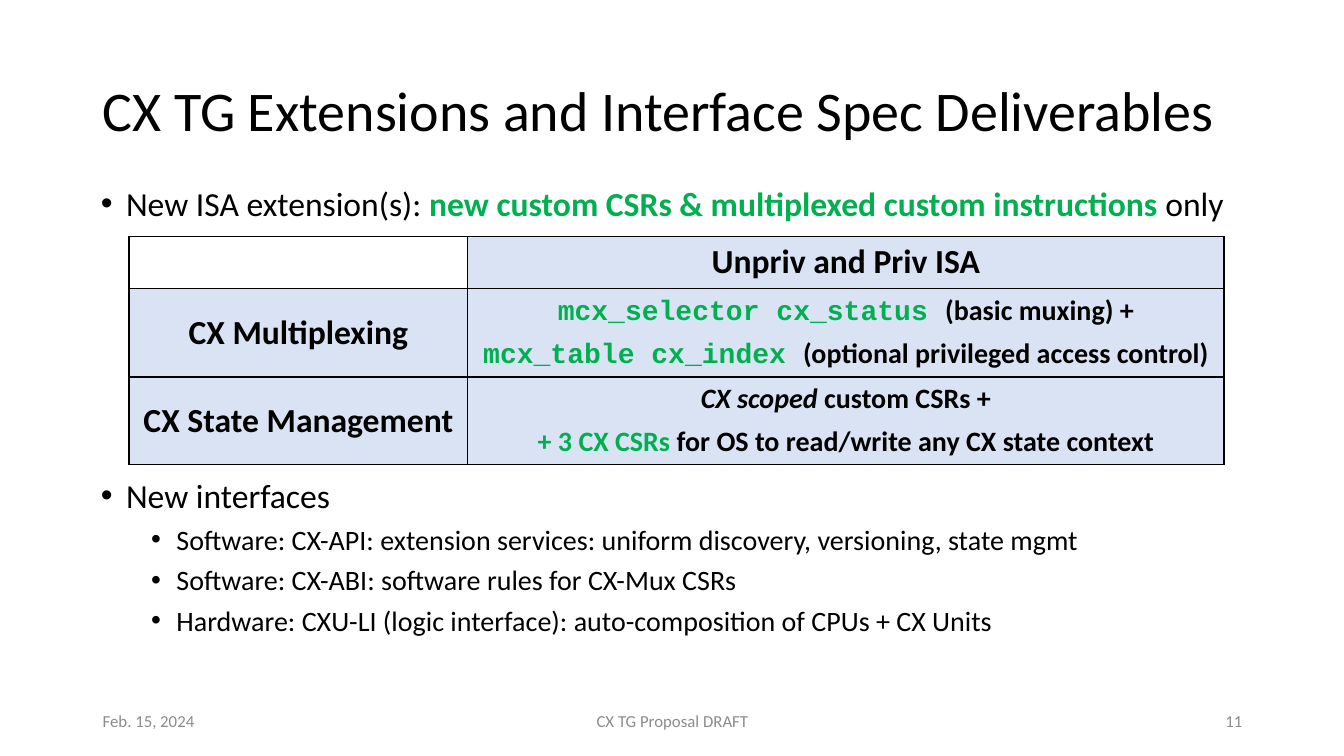
from dataclasses import dataclass
from typing import NamedTuple, Optional

from lxml.etree import SubElement
from pptx import Presentation
from pptx.dml.color import RGBColor
from pptx.enum.text import MSO_ANCHOR as Anchor, MSO_AUTO_SIZE as AutoSize, PP_ALIGN as Align
from pptx.oxml.ns import qn
from pptx.util import Pt

PX = 9144  # 100 px to the inch


@dataclass(frozen=True)
class Theme:
    black: RGBColor = RGBColor(0, 0, 0)
    green: RGBColor = RGBColor(0x00, 0xB0, 0x50)
    grey: RGBColor = RGBColor(0x8C, 0x8C, 0x8C)
    white: RGBColor = RGBColor(255, 255, 255)
    pale_blue: RGBColor = RGBColor(0xDA, 0xE3, 0xF3)
    font: str = "Calibri"
    code_font: str = "Courier New"
    title: int = 40
    large: int = 24
    small: int = 20
    footer: int = 12


T = Theme()


class Box(NamedTuple):
    x: int
    y: int
    w: int
    h: int

    def emu(self) -> list[int]:
        return [v * PX for v in self]


class Run(NamedTuple):
    text: str
    size: int = T.large
    color: RGBColor = T.black
    bold: bool = False
    italic: bool = False
    font: str = T.font


class Bullet(NamedTuple):
    runs: list[Run]
    level: int = 0
    before: int = 0


class Footer(NamedTuple):
    text: str
    box: Box
    align: Align


def strong(text: str, size: int = T.small, color: RGBColor = T.black,
           italic: bool = False) -> Run:
    return Run(text, size, color, True, italic)


def code(text: str) -> Run:
    return Run(text, T.small, T.green, True, font=T.code_font)


TITLE = Run("CX TG Extensions and Interface Spec Deliverables", T.title)
BULLETS = [
    Bullet([Run("New ISA extension(s): "),
            strong("new custom CSRs & multiplexed custom instructions", T.large, T.green),
            Run(" only")]),
    Bullet([Run("New interfaces")], before=180),  # leaves room for the table
    *(Bullet([Run(text, T.small)], level=1, before=5) for text in (
        "Software: CX-API: extension services: uniform discovery, versioning, state mgmt",
        "Software: CX-ABI: software rules for CX-Mux CSRs",
        "Hardware: CXU-LI (logic interface): auto-composition of CPUs + CX Units")),
]
COLUMNS = [336, 750]
ROWS = [51, 88, 86]
CELLS = [  # each cell is a list of lines, each line a list of runs
    [[], [[strong("Unpriv and Priv ISA", T.large)]]],
    [[[strong("CX Multiplexing", T.large)]],
     [[code("mcx_selector cx_status "), strong("(basic muxing) +")],
      [code("mcx_table cx_index "), strong("(optional privileged access control)")]]],
    [[[strong("CX State Management", T.large)]],
     [[strong("CX scoped ", italic=True), strong("custom CSRs +")],
      [strong("+ 3 CX CSRs", color=T.green),
       strong(" for OS to read/write any CX state context")]]],
]
FOOTERS = [
    Footer("Feb. 15, 2024", Box(92, 695, 300, 40), Align.LEFT),
    Footer("CX TG Proposal DRAFT", Box(442, 695, 450, 40), Align.CENTER),
    Footer("11", Box(942, 695, 300, 40), Align.RIGHT),
]


def add_runs(p, runs: list[Run], align: Optional[Align] = None) -> None:
    p.alignment = align
    for run in runs:
        r = p.add_run()
        r.text = run.text
        f = r.font
        f.name, f.size, f.bold, f.italic = run.font, Pt(run.size), run.bold, run.italic
        f.color.rgb = run.color


def next_paragraph(tf, index: int):
    return tf.add_paragraph() if index else tf.paragraphs[0]


def place(sp, box: Box) -> None:
    sp.left, sp.top, sp.width, sp.height = box.emu()


def fill_title(sp) -> None:
    place(sp, Box(92, 40, 1203, 145))
    tf = sp.text_frame
    tf.auto_size, tf.vertical_anchor = AutoSize.NONE, Anchor.MIDDLE
    p = tf.paragraphs[0]
    p.line_spacing = 0.9
    add_runs(p, [TITLE], Align.LEFT)


def fill_body(sp) -> None:
    place(sp, Box(90, 176, 1236, 515))
    tf = sp.text_frame
    tf.auto_size = AutoSize.NONE
    for i, bullet in enumerate(BULLETS):
        p = next_paragraph(tf, i)
        p.level = bullet.level
        pPr = p._p.get_or_add_pPr()
        pPr.set("marL", str((25 + 50 * bullet.level) * PX))
        pPr.set("indent", str(-25 * PX))
        SubElement(pPr, qn("a:buChar"), char="•")
        p.space_before = Pt(bullet.before)
        add_runs(p, bullet.runs, Align.LEFT)


def add_borders(cell) -> None:
    tcPr = cell._tc.get_or_add_tcPr()
    for side in "LRTB":
        ln = SubElement(tcPr, qn(f"a:ln{side}"), w=str(Pt(1)))
        SubElement(SubElement(ln, qn("a:solidFill")), qn("a:srgbClr"), val=str(T.black))


def add_isa_table(slide) -> None:
    box = Box(128, 235, sum(COLUMNS), sum(ROWS))
    table = slide.shapes.add_table(len(ROWS), len(COLUMNS), *box.emu()).table
    table.horz_banding = False
    for column, width in zip(table.columns, COLUMNS):
        column.width = width * PX
    for row, height, contents in zip(table.rows, ROWS, CELLS):
        row.height = height * PX
        for cell, lines in zip(row.cells, contents):
            add_borders(cell)
            cell.fill.solid()
            cell.fill.fore_color.rgb = T.pale_blue if lines else T.white
            cell.vertical_anchor = Anchor.MIDDLE
            for i, runs in enumerate(lines):
                p = next_paragraph(cell.text_frame, i)
                if i < len(lines) - 1:
                    p.space_after = Pt(6)
                add_runs(p, runs, Align.CENTER)


def add_footer(slide, footer: Footer) -> None:
    tf = slide.shapes.add_textbox(*footer.box.emu()).text_frame
    tf.word_wrap, tf.vertical_anchor = True, Anchor.MIDDLE
    add_runs(tf.paragraphs[0], [Run(footer.text, T.footer, T.grey)], footer.align)


def main() -> None:
    prs = Presentation()
    prs.slide_width, prs.slide_height = 1333 * PX, 750 * PX
    slide = prs.slides.add_slide(prs.slide_layouts[1])
    fill_title(slide.shapes.title)
    fill_body(slide.placeholders[1])
    add_isa_table(slide)
    for footer in FOOTERS:
        add_footer(slide, footer)
    prs.save("out.pptx")


if __name__ == "__main__":
    main()
